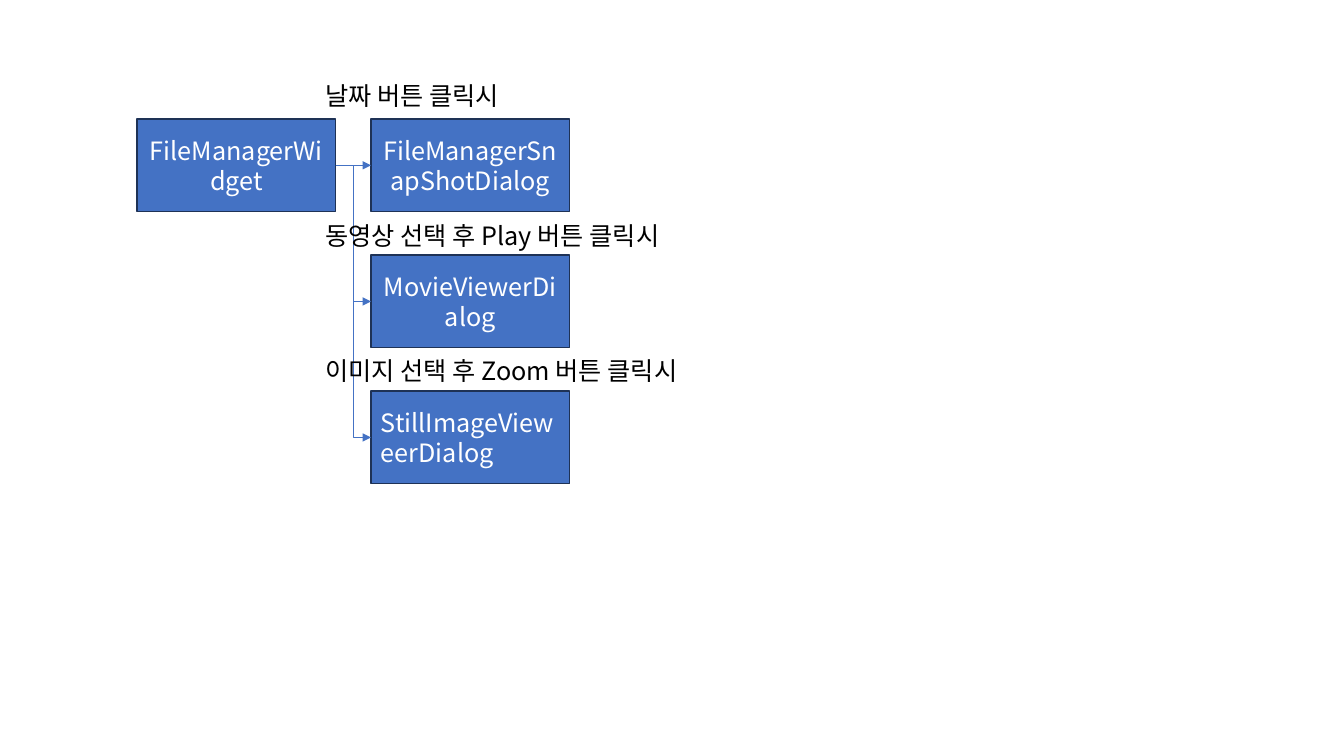
"""Draw the dialogs that the file manager widget opens."""
from lxml import etree
from pptx import Presentation
from pptx import util as u
from pptx.dml.color import RGBColor
from pptx.enum import shapes, text
from pptx.oxml.ns import qn

PX = 9144
THEME = {
    "font": "Noto Sans CJK KR", "size": 18,
    "box": RGBColor(0x44, 0x72, 0xC4), "edge": RGBColor(0x1E, 0x32, 0x56),
    "on_box": RGBColor(255, 255, 255), "label": RGBColor(0, 0, 0),
    "edge_width": 1, "arrow_width": 0.5,
}
BOX_W, BOX_H = 197, 92
WIDGET_X, DIALOG_X, LABEL_X = 136, 368, 313
TOP, PITCH, LABEL_H = 118, 135, 40
CENTER, LEFT = text.PP_ALIGN.CENTER, text.PP_ALIGN.LEFT
DIALOGS = [
    ("FileManagerSnapShotDialog", CENTER, "날짜 버튼 클릭시", 75, 215),
    ("MovieViewerDialog", CENTER, "동영상 선택 후 Play 버튼 클릭시", 214, 389),
    ("StillImageVieweerDialog", LEFT, "이미지 선택 후 Zoom 버튼 클릭시", 348, 410),
]


def write(sp, words, color, align):
    p = sp.text_frame.paragraphs[0]
    p.alignment = align
    r = p.add_run()
    r.text = words
    r.font.size = u.Pt(THEME["size"])
    r.font.color.rgb = color
    r.font.name = THEME["font"]
    etree.SubElement(r.font._element, qn("a:ea"), typeface=THEME["font"])


def add_box(s, x, y, name, align):
    sp = s.shapes.add_shape(shapes.MSO_SHAPE.RECTANGLE,
                            x * PX, y * PX, BOX_W * PX, BOX_H * PX)
    sp.shadow.inherit = False
    sp.fill.solid()
    sp.fill.fore_color.rgb = THEME["box"]
    sp.line.color.rgb = THEME["edge"]
    sp.line.width = u.Pt(THEME["edge_width"])
    sp.text_frame.word_wrap = True
    sp.text_frame.vertical_anchor = text.MSO_ANCHOR.MIDDLE
    write(sp, name, THEME["on_box"], align)
    return sp


prs = Presentation()
prs.slide_width, prs.slide_height = 1333 * PX, 750 * PX
s = prs.slides.add_slide(prs.slide_layouts[6])

dialogs = [add_box(s, DIALOG_X, TOP + i * PITCH, name, align)
           for i, (name, align, *_) in enumerate(DIALOGS)]
widget = add_box(s, WIDGET_X, TOP, "FileManagerWidget", CENTER)

for dialog in dialogs:
    level = dialog.top == widget.top
    kind = shapes.MSO_CONNECTOR.STRAIGHT if level else shapes.MSO_CONNECTOR.ELBOW
    arrow = s.shapes.add_connector(kind, 0, 0, 0, 0)
    arrow.begin_connect(widget, 3)
    arrow.end_connect(dialog, 1)
    arrow.line.color.rgb = THEME["box"]
    arrow.line.width = u.Pt(THEME["arrow_width"])
    etree.SubElement(arrow.line._get_or_add_ln(), qn("a:tailEnd"), type="triangle")
    etree.SubElement(arrow._element.spPr, qn("a:effectLst"))

for _, _, label, y, w in DIALOGS:
    tb = s.shapes.add_textbox(LABEL_X * PX, y * PX, w * PX, LABEL_H * PX)
    tb.text_frame.word_wrap = False
    tb.text_frame.auto_size = text.MSO_AUTO_SIZE.SHAPE_TO_FIT_TEXT
    write(tb, label, THEME["label"], LEFT)

prs.save("out.pptx")
